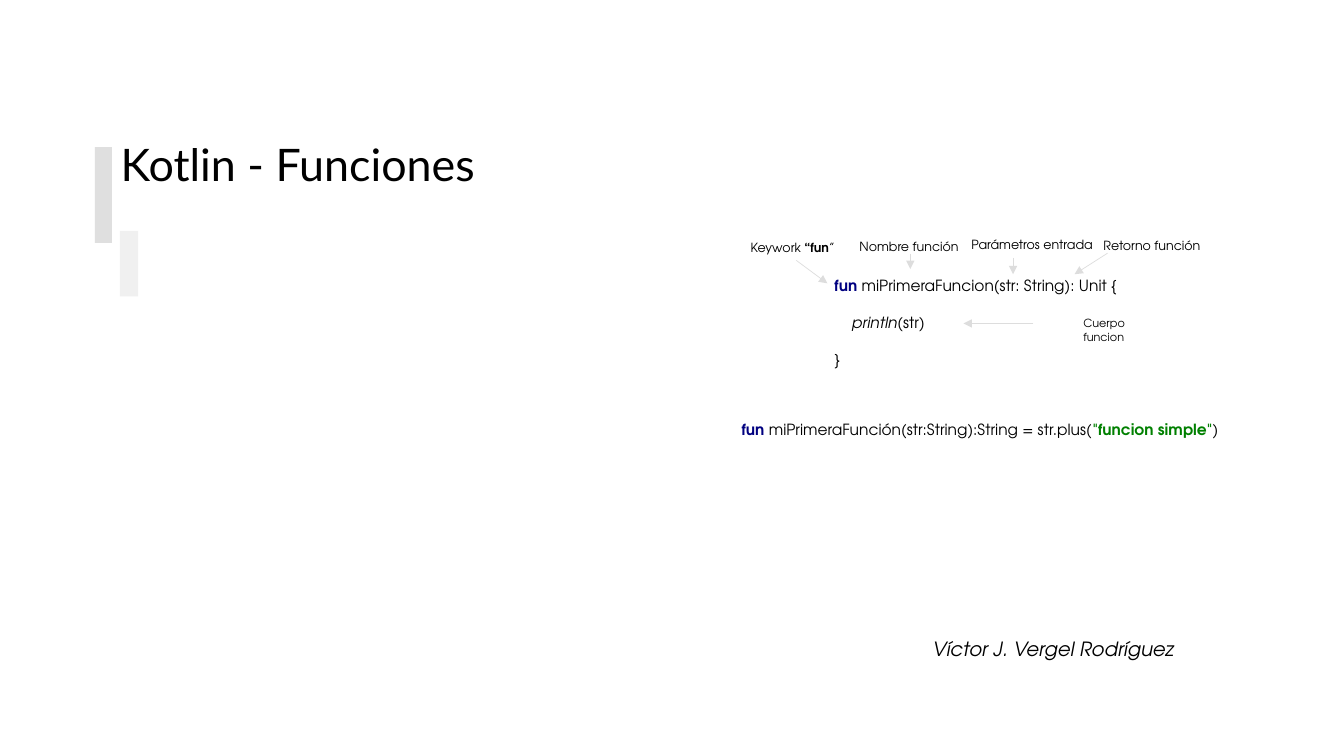
"""Build the slide that labels the parts of a Kotlin function."""
from dataclasses import dataclass

from lxml import etree
from pptx import Presentation
from pptx.dml.color import RGBColor
from pptx.enum.shapes import MSO_CONNECTOR, MSO_SHAPE
from pptx.enum.text import MSO_ANCHOR, MSO_AUTO_SIZE, PP_ALIGN
from pptx.oxml.ns import qn
from pptx.shapes.autoshape import Shape
from pptx.slide import Slide
from pptx.util import Cm, Pt

STRAIGHT = MSO_CONNECTOR.STRAIGHT
RECTANGLE = MSO_SHAPE.RECTANGLE
MIDDLE = MSO_ANCHOR.MIDDLE
GROW = MSO_AUTO_SIZE.SHAPE_TO_FIT_TEXT
FIXED = MSO_AUTO_SIZE.NONE
RIGHT = PP_ALIGN.RIGHT
BOTTOM_SIDE = 2

BLACK = RGBColor(0x00, 0x00, 0x00)
NAVY = RGBColor(0x00, 0x00, 0x80)
GREEN = RGBColor(0x00, 0x80, 0x00)
ARROW_GRAY = RGBColor(0xDD, 0xDD, 0xDD)
BAR_GRAY = RGBColor(0xDF, 0xDF, 0xDF)
PALE_GRAY = RGBColor(0xF0, 0xF0, 0xF0)

BODY_FONT = "TeX Gyre Adventor"
TITLE_FONT = "Lato"


@dataclass(frozen=True)
class Area:
    left: float
    top: float
    width: float
    height: float

    def lengths(self) -> list[Cm]:
        return [Cm(value) for value in (self.left, self.top, self.width, self.height)]


@dataclass(frozen=True)
class Span:
    text: str
    color: RGBColor = BLACK
    bold: bool = False
    italic: bool = False


@dataclass(frozen=True)
class Line:
    spans: tuple[Span, ...]
    indent: float = 0


@dataclass(frozen=True)
class TextBlock:
    area: Area
    lines: tuple[Line, ...]
    size: float
    font: str = BODY_FONT
    wrap: bool = True


@dataclass(frozen=True)
class Arrow:
    start: tuple[float, float]
    end: tuple[float, float]


def label(area: Area, *spans: Span) -> TextBlock:
    return TextBlock(area, (Line(spans),), 9, wrap=False)


BARS = (
    (Area(2.39, 3.71, 0.43, 2.41), BAR_GRAY),
    (Area(3.02, 5.82, 0.46, 1.65), PALE_GRAY),
)
TITLE = TextBlock(Area(2.79, 3.33, 27.03, 1.88), (Line((Span("Kotlin - Funciones"),)),), 32, TITLE_FONT)
AUTHOR = TextBlock(
    Area(22.83, 15.93, 7.01, 0.86), (Line((Span("Víctor J. Vergel Rodríguez", italic=True),)),), 14
)
KEYWORD = label(Area(18.67, 5.92, 2.79, 0.64), Span("Keywork "), Span("“fun", bold=True), Span("”"))
FUNCTION_CODE = TextBlock(
    Area(20.78, 6.83, 8.15, 2.62),
    (
        Line((Span("fun ", NAVY, bold=True), Span("miPrimeraFuncion(str: String): Unit {"))),
        Line((Span("println", italic=True), Span("(str)")), indent=0.44),
        Line((Span("}"),)),
    ),
    11,
)
OTHER_BLOCKS = (
    label(Area(21.41, 5.89, 3.05, 0.64), Span("Nombre función")),
    label(Area(24.23, 5.84, 3.63, 0.64), Span("Parámetros entrada")),
    label(Area(27.56, 5.87, 3, 0.64), Span("Retorno función")),
    TextBlock(Area(27.05, 7.85, 2.31, 0.61), (Line((Span("Cuerpo\vfuncion"),)),), 8),
    TextBlock(
        Area(18.44, 10.46, 12.85, 0.74),
        (
            Line((
                Span("fun ", NAVY, bold=True),
                Span("miPrimeraFunción(str:String):String = str.plus("),
                Span('"funcion simple"', GREEN, bold=True),
                Span(")"),
            )),
        ),
        11,
    ),
)
KEYWORD_ARROW = Arrow((20.07, 6.56), (20.85, 7.14))
OTHER_ARROWS = (
    Arrow((22.94, 6.4), (22.94, 6.78)),
    Arrow((25.53, 6.5), (25.53, 6.91)),
    Arrow((27.91, 6.38), (27.08, 6.91)),
    Arrow((26.04, 8.15), (24.28, 8.15)),
)


def add_bar(page: Slide, area: Area, color: RGBColor) -> None:
    bar = page.shapes.add_shape(RECTANGLE, *area.lengths())
    bar.shadow.inherit = False
    bar.fill.solid()
    bar.fill.fore_color.rgb = color
    bar.line.fill.background()


def add_text(page: Slide, block: TextBlock) -> Shape:
    box = page.shapes.add_textbox(*block.area.lengths())
    frame = box.text_frame
    frame.word_wrap = block.wrap
    frame.auto_size = GROW
    for index, line in enumerate(block.lines):
        para = frame.add_paragraph() if index else frame.paragraphs[0]
        if index:
            para.space_before = Pt(block.size * 1.2)
        if line.indent:
            para._p.get_or_add_pPr().set("marL", str(Cm(line.indent)))
        for span in line.spans:
            for number, part in enumerate(span.text.split("\v")):
                if number:
                    para.add_line_break()
                run = para.add_run()
                run.text = part
                run.font.color.rgb = span.color
                formats = {
                    "name": block.font, "size": Pt(block.size), "bold": span.bold, "italic": span.italic
                }
                for name, value in formats.items():
                    setattr(run.font, name, value)
    return box


def add_arrow(page: Slide, arrow: Arrow, source: Shape | None = None) -> None:
    ends = [Cm(value) for value in (*arrow.start, *arrow.end)]
    connector = page.shapes.add_connector(STRAIGHT, *ends)
    if source is not None:
        connector.begin_connect(source, BOTTOM_SIDE)
    connector.line.color.rgb = ARROW_GRAY
    connector.line.width = Pt(0.5)
    etree.SubElement(connector.line._get_or_add_ln(), qn("a:tailEnd"), type="triangle")
    etree.SubElement(connector._element.spPr, qn("a:effectLst"))


def main() -> None:
    deck = Presentation()
    deck.slide_width, deck.slide_height = Cm(33.87), Cm(19.05)
    page = deck.slides.add_slide(deck.slide_layouts[6])
    for area, color in BARS:
        add_bar(page, area, color)

    add_text(page, AUTHOR).text_frame.paragraphs[0].alignment = RIGHT
    title = add_text(page, TITLE).text_frame
    title.paragraphs[0].line_spacing = 0.9
    title_formats = {"vertical_anchor": MIDDLE, "auto_size": FIXED, "margin_top": Cm(0)}
    for name, value in title_formats.items():
        setattr(title, name, value)

    add_text(page, FUNCTION_CODE)
    keyword = add_text(page, KEYWORD)
    for block in OTHER_BLOCKS:
        add_text(page, block)
    add_arrow(page, KEYWORD_ARROW, keyword)
    for arrow in OTHER_ARROWS:
        add_arrow(page, arrow)
    deck.save("out.pptx")


if __name__ == "__main__":
    main()
